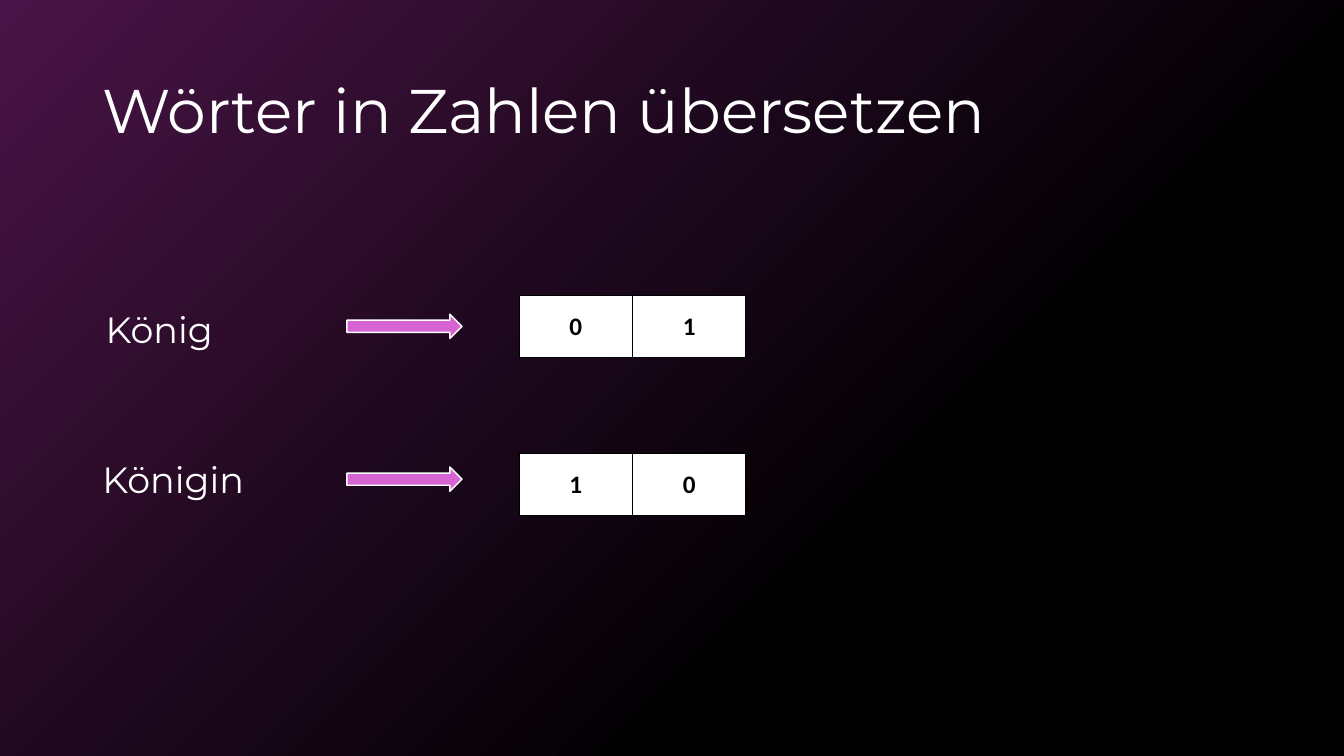
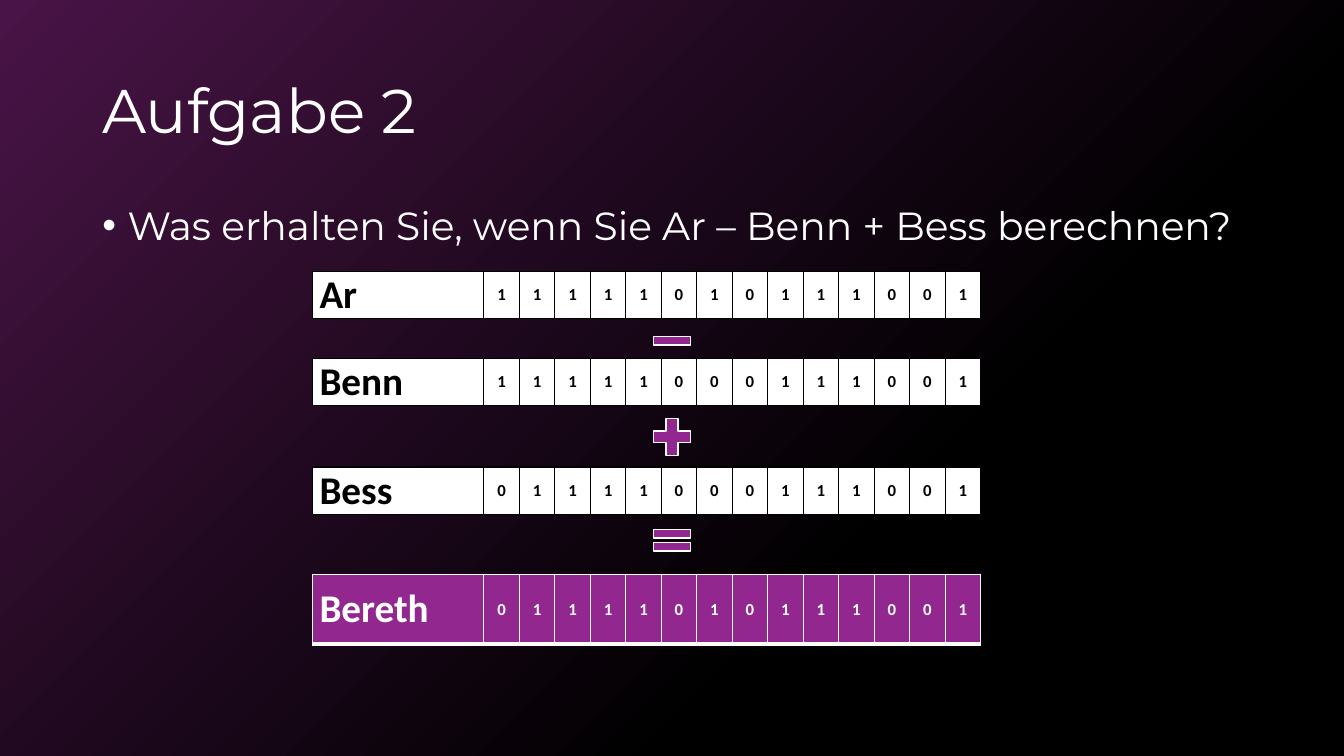
"""Build two slides that translate words into number vectors."""
from dataclasses import dataclass
from typing import NamedTuple

from lxml import etree
from pptx import Presentation
from pptx import util as u
from pptx.dml.color import RGBColor
from pptx.enum import shapes, text
from pptx.oxml.ns import qn

COLUMNS, ROWS = 160, 90
WIDTH, HEIGHT = u.Inches(13.33), u.Inches(7.5)


@dataclass(frozen=True)
class Theme:
    """Colours, fonts and type sizes of the deck."""
    dark: str = "000000"
    light: str = "FFFFFF"
    glow: str = "491447"
    arrow: str = "D665D3"
    accent: str = "92278F"
    text_font: str = "Montserrat"
    table_font: str = "Calibri"
    title: int = 44
    body: int = 28
    word: int = 26
    digit: int = 18
    small_digit: int = 12
    leading: float = 0.9


THEME = Theme()


class Area(NamedTuple):
    """A rectangle in grid columns and rows."""
    left: float
    top: float
    width: float
    height: float

    def place(self) -> tuple[int, int, int, int]:
        """Return the rectangle in slide units."""
        return across(self.left), down(self.top), across(self.width), down(self.height)


class Style(NamedTuple):
    """Fill, text and border look of a vector table."""
    fill: str
    ink: str
    border: str
    bottom: float = 1


class Mapping(NamedTuple):
    """A word with its two-digit vector and the places of the parts."""
    word: str
    digits: str
    word_area: Area
    arrow_top: float
    table_top: float


class Vector(NamedTuple):
    """A named vector row of the calculation."""
    name: str
    digits: str
    top: float
    height: float
    style: Style


class Operator(NamedTuple):
    """A sign between two vector rows."""
    kind: shapes.MSO_SHAPE
    top: float
    height: float


PLAIN = Style(THEME.light, THEME.dark, THEME.dark)
RESULT = Style(THEME.accent, THEME.light, THEME.light, 3)

TITLE_AREA = Area(11, 4.8, 138, 17.4)
QUESTION_AREA = Area(11, 24, 138, 9.5)
MAPPINGS = (
    Mapping("König", "01", Area(11.4, 36.6, 26.5, 7.4), 37.4, 35.2),
    Mapping("Königin", "10", Area(11, 54.4, 26.5, 7.4), 55.6, 54),
)
VECTORS = (
    Vector("Ar", "11111010111001", 32.3, 5.6, PLAIN),
    Vector("Benn", "11111000111001", 42.7, 5.6, PLAIN),
    Vector("Bess", "01111000111001", 55.6, 5.6, PLAIN),
    Vector("Bereth", "01111010111001", 68.4, 8.3, RESULT),
)
OPERATORS = (
    Operator(shapes.MSO_SHAPE.MATH_MINUS, 38.4, 4.3),
    Operator(shapes.MSO_SHAPE.MATH_PLUS, 49, 6),
    Operator(shapes.MSO_SHAPE.MATH_EQUAL, 62.1, 4.4),
)
NAME_WIDTH = 20.4
VECTOR_WIDTH = 79.6


def across(columns: float) -> int:
    """Convert grid columns to slide units."""
    return round(WIDTH * columns / COLUMNS)


def down(rows: float) -> int:
    """Convert grid rows to slide units."""
    return round(HEIGHT * rows / ROWS)


def set_font(para, name: str, size: float, color: str, bold: bool = False) -> None:
    """Set the font of a whole paragraph."""
    para.font.name = name
    para.font.size = u.Pt(size)
    para.font.bold = bold
    para.font.color.rgb = RGBColor.from_string(color)


def add_bullet(para) -> None:
    """Give a paragraph a hanging round bullet."""
    properties = para._p.get_or_add_pPr()
    indent = u.Inches(0.25)
    properties.set("marL", str(indent))
    properties.set("indent", str(-indent))
    etree.SubElement(properties, qn("a:buFont"), typeface="Arial")
    etree.SubElement(properties, qn("a:buChar"), char="•")


def add_text(page, area: Area, wording: str, size: float,
             anchor=text.MSO_ANCHOR.TOP, bullet: bool = False) -> None:
    """Add a one-paragraph text box."""
    frame = page.shapes.add_textbox(*area.place()).text_frame
    frame.word_wrap = True
    frame.vertical_anchor = anchor
    para = frame.paragraphs[0]
    para.text = wording
    para.line_spacing = THEME.leading
    if bullet:
        add_bullet(para)
    set_font(para, THEME.text_font, size, THEME.light)


def add_sign(page, kind: shapes.MSO_SHAPE, area: Area, color: str) -> None:
    """Add a filled sign with a light outline."""
    sign = page.shapes.add_shape(kind, *area.place())
    sign.shadow.inherit = False
    sign.fill.solid()
    sign.fill.fore_color.rgb = RGBColor.from_string(color)
    sign.line.color.rgb = RGBColor.from_string(THEME.light)
    sign.line.width = u.Pt(1)


def style_cell(cell, style: Style) -> None:
    """Set the borders and the fill of a cell."""
    properties = cell._tc.get_or_add_tcPr()
    for side in "LRTB":
        width = u.Pt(style.bottom if side == "B" else 1)
        line = etree.SubElement(properties, qn(f"a:ln{side}"), w=str(width))
        fill = etree.SubElement(line, qn("a:solidFill"))
        etree.SubElement(fill, qn("a:srgbClr"), val=style.border)
    cell.fill.solid()
    cell.fill.fore_color.rgb = RGBColor.from_string(style.fill)
    cell.vertical_anchor = text.MSO_ANCHOR.MIDDLE
    cell.margin_left = cell.margin_right = u.Inches(0.07)
    cell.margin_top = cell.margin_bottom = 0


def add_vector(page, area: Area, digits: str, size: float, style: Style, name: str = "") -> None:
    """Add a one-row table of digits, led by an optional name."""
    entries = [name, *digits] if name else list(digits)
    name_width = NAME_WIDTH if name else 0
    digit_width = (area.width - name_width) / len(digits)
    table = page.shapes.add_table(1, len(entries), *area.place()).table
    table.first_row = table.horz_banding = False
    for index, entry in enumerate(entries):
        is_name = bool(name) and index == 0
        table.columns[index].width = across(name_width if is_name else digit_width)
        cell = table.cell(0, index)
        style_cell(cell, style)
        para = cell.text_frame.paragraphs[0]
        para.text = entry
        para.alignment = text.PP_ALIGN.LEFT if is_name else text.PP_ALIGN.CENTER
        set_font(para, THEME.table_font, THEME.body if is_name else size, style.ink, True)


def add_page(deck, title: str):
    """Add a blank slide with its title."""
    page = deck.slides.add_slide(deck.slide_layouts[6])
    add_text(page, TITLE_AREA, title, THEME.title, text.MSO_ANCHOR.MIDDLE)
    return page


def set_background(deck) -> None:
    """Give the slide master the diagonal gradient."""
    fill = deck.slide_master.background.fill
    fill.gradient()
    fill.gradient_angle = 315
    for stop, position, color in zip(fill.gradient_stops, (0, 0.68), (THEME.glow, THEME.dark)):
        stop.position = position
        stop.color.rgb = RGBColor.from_string(color)


def build_words(deck) -> None:
    """Build the slide that maps words to vectors."""
    page = add_page(deck, "Wörter in Zahlen übersetzen")
    for item in MAPPINGS:
        add_text(page, item.word_area, item.word, THEME.word)
        add_sign(page, shapes.MSO_SHAPE.RIGHT_ARROW,
                 Area(41.3, item.arrow_top, 13.7, 2.9), THEME.arrow)
        add_vector(page, Area(61.8, item.table_top, 27, 7.4), item.digits, THEME.digit, PLAIN)


def build_task(deck) -> None:
    """Build the slide with the vector calculation."""
    page = add_page(deck, "Aufgabe 2")
    add_text(page, QUESTION_AREA, "Was erhalten Sie, wenn Sie Ar – Benn + Bess berechnen?",
             THEME.body, bullet=True)
    for vector in VECTORS:
        add_vector(page, Area(37.2, vector.top, VECTOR_WIDTH, vector.height),
                   vector.digits, THEME.small_digit, vector.style, vector.name)
    for sign in OPERATORS:
        add_sign(page, sign.kind, Area(77, sign.top, 6, sign.height), THEME.accent)


def main() -> None:
    """Build and save the deck."""
    deck = Presentation()
    deck.slide_width, deck.slide_height = WIDTH, HEIGHT
    set_background(deck)
    build_words(deck)
    build_task(deck)
    deck.save("out.pptx")


if __name__ == "__main__":
    main()
